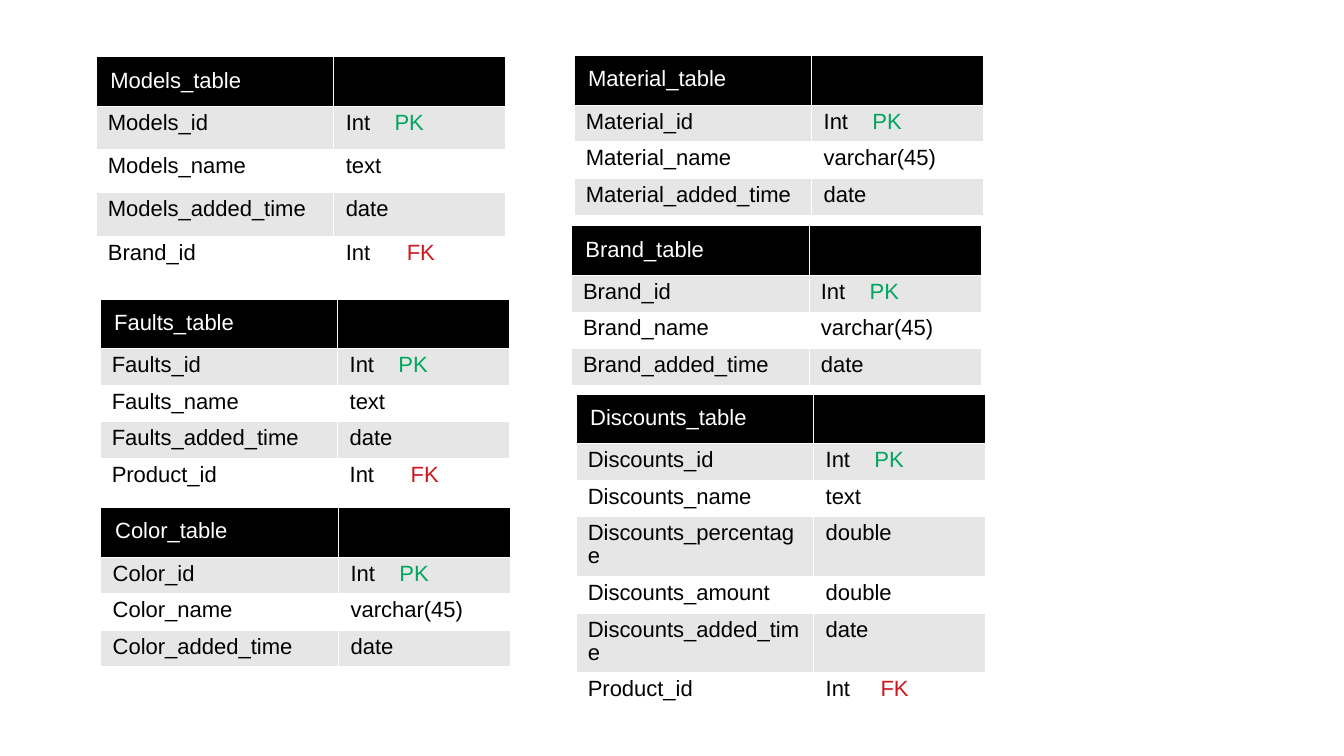
from dataclasses import dataclass

from lxml import etree
from pptx import Presentation, util as u
from pptx.dml.color import RGBColor
from pptx.enum import text
from pptx.oxml import ns

SLIDE_WIDTH, SLIDE_HEIGHT = u.Inches(11.02), u.Inches(6.2)
COLORS = {
    "heading": "000000",
    "heading_text": "FFFFFF",
    "band": "E6E6E6",
    "plain": "FFFFFF",
    "body_text": "000000",
    "border": "FFFFFF",
    "PK": "00A65D",
    "FK": "CE181E",
}
COLUMN_SHARES = (17.7, 12.8)
HEADING_SHARE, FIELD_SHARE, WRAPPED_SHARE = 6.45, 4.84, 7.9
KEY_TABS = {"PK": 3.63, "FK": 4.54}
HEADING_INDENT = 0.18
CELL_FORMAT = {
    "margin_left": u.Inches(0.1),
    "margin_right": u.Inches(0.1),
    "margin_top": u.Inches(0.05),
    "margin_bottom": u.Inches(0.05),
}
FONT_FORMAT = {"name": "Arial", "size": u.Pt(13), "bold": False}


@dataclass(frozen=True)
class Field:
    name: str = ""
    kind: str = ""
    key: str = ""
    share: float = FIELD_SHARE
    key_tab: float = 0


@dataclass(frozen=True)
class Entity:
    name: str
    left: float
    top: float
    fields: tuple[Field, ...]
    field_share: float = FIELD_SHARE


def across(share: float) -> int:
    return round(SLIDE_WIDTH * share / 100)


def down(share: float) -> int:
    return round(SLIDE_HEIGHT * share / 100)


def apply_format(target, values: dict) -> None:
    for attribute, value in values.items():
        setattr(target, attribute, value)


def standard_fields(entity: str, kind: str) -> tuple[Field, ...]:
    return (
        Field(f"{entity}_id", "Int", "PK"),
        Field(f"{entity}_name", kind),
        Field(f"{entity}_added_time", "date"),
    )


SPARE_ROW = Field(share=HEADING_SHARE)
ENTITIES = (
    Entity("Brand", 42.47, 29.84, (*standard_fields("Brand", "varchar(45)"), SPARE_ROW)),
    Entity("Color", 7.48, 67.1, (*standard_fields("Color", "varchar(45)"), SPARE_ROW)),
    Entity("Models", 7.12, 7.47,
           (*standard_fields("Models", "text"), Field("Brand_id", "Int", "FK")), 5.73),
    Entity("Material", 42.68, 7.33, standard_fields("Material", "varchar(45)")),
    Entity("Faults", 7.41, 39.52,
           (*standard_fields("Faults", "text"), Field("Product_id", "Int", "FK"))),
    Entity("Discounts", 42.83, 52.1, (
        Field("Discounts_id", "Int", "PK"),
        Field("Discounts_name", "text"),
        Field("Discounts_percentage", "double", share=WRAPPED_SHARE),
        Field("Discounts_amount", "double"),
        Field("Discounts_added_time", "date", share=WRAPPED_SHARE),
        Field("Product_id", "Int", "FK", key_tab=4.08),
    )),
)


def style_cell(cell, fill: str) -> None:
    apply_format(cell, CELL_FORMAT)
    properties = cell._tc.get_or_add_tcPr()
    for side in ("lnL", "lnR", "lnT", "lnB"):
        border = etree.SubElement(properties, ns.qn(f"a:{side}"), w=str(u.Pt(0.06)))
        paint = etree.SubElement(border, ns.qn("a:solidFill"))
        etree.SubElement(paint, ns.qn("a:srgbClr"), val=COLORS["border"])
    cell.fill.solid()
    cell.fill.fore_color.rgb = RGBColor.from_string(COLORS[fill])


def write(cell, words: str, color: str) -> None:
    run = cell.text_frame.paragraphs[0].add_run()
    run.text = words
    apply_format(run.font, FONT_FORMAT)
    run.font.color.rgb = RGBColor.from_string(COLORS[color])


def write_heading(cell, words: str) -> None:
    cell.vertical_anchor = text.MSO_ANCHOR.MIDDLE
    paragraph = cell.text_frame.paragraphs[0]
    paragraph.line_spacing = 0.93
    paragraph._p.get_or_add_pPr().set("marL", str(across(HEADING_INDENT)))
    write(cell, words, "heading_text")


def write_field(cells: list, field: Field) -> None:
    for cell, words in zip(cells, (field.name, field.kind)):
        if words:
            cell.text_frame.paragraphs[0].line_spacing = 0.93
            write(cell, words, "body_text")
    if field.key:
        properties = cells[1].text_frame.paragraphs[0]._p.get_or_add_pPr()
        stops = etree.SubElement(properties, ns.qn("a:tabLst"))
        position = across(field.key_tab or KEY_TABS[field.key])
        etree.SubElement(stops, ns.qn("a:tab"), pos=str(position), algn="l")
        write(cells[1], f"\t{field.key}", field.key)


def draw_entity(slide, entity: Entity) -> None:
    shares = [HEADING_SHARE] + [
        entity.field_share if field.share == FIELD_SHARE else field.share
        for field in entity.fields
    ]
    grid = slide.shapes.add_table(
        len(shares), len(COLUMN_SHARES), across(entity.left), down(entity.top),
        across(sum(COLUMN_SHARES)), down(sum(shares)),
    ).table
    apply_format(grid, {"first_row": False, "horz_banding": False})
    for column, share in zip(grid.columns, COLUMN_SHARES):
        column.width = across(share)
    for index, (row, share) in enumerate(zip(grid.rows, shares)):
        row.height = down(share)
        fill = "heading" if index == 0 else "band" if index % 2 else "plain"
        for cell in row.cells:
            style_cell(cell, fill)
    write_heading(grid.cell(0, 0), f"{entity.name}_table")
    for index, field in enumerate(entity.fields, start=1):
        write_field(list(grid.rows[index].cells), field)


def main() -> None:
    deck = Presentation()
    apply_format(deck, {"slide_width": SLIDE_WIDTH, "slide_height": SLIDE_HEIGHT})
    slide = deck.slides.add_slide(deck.slide_layouts[6])
    for entity in ENTITIES:
        draw_entity(slide, entity)
    deck.save("out.pptx")


if __name__ == "__main__":
    main()
